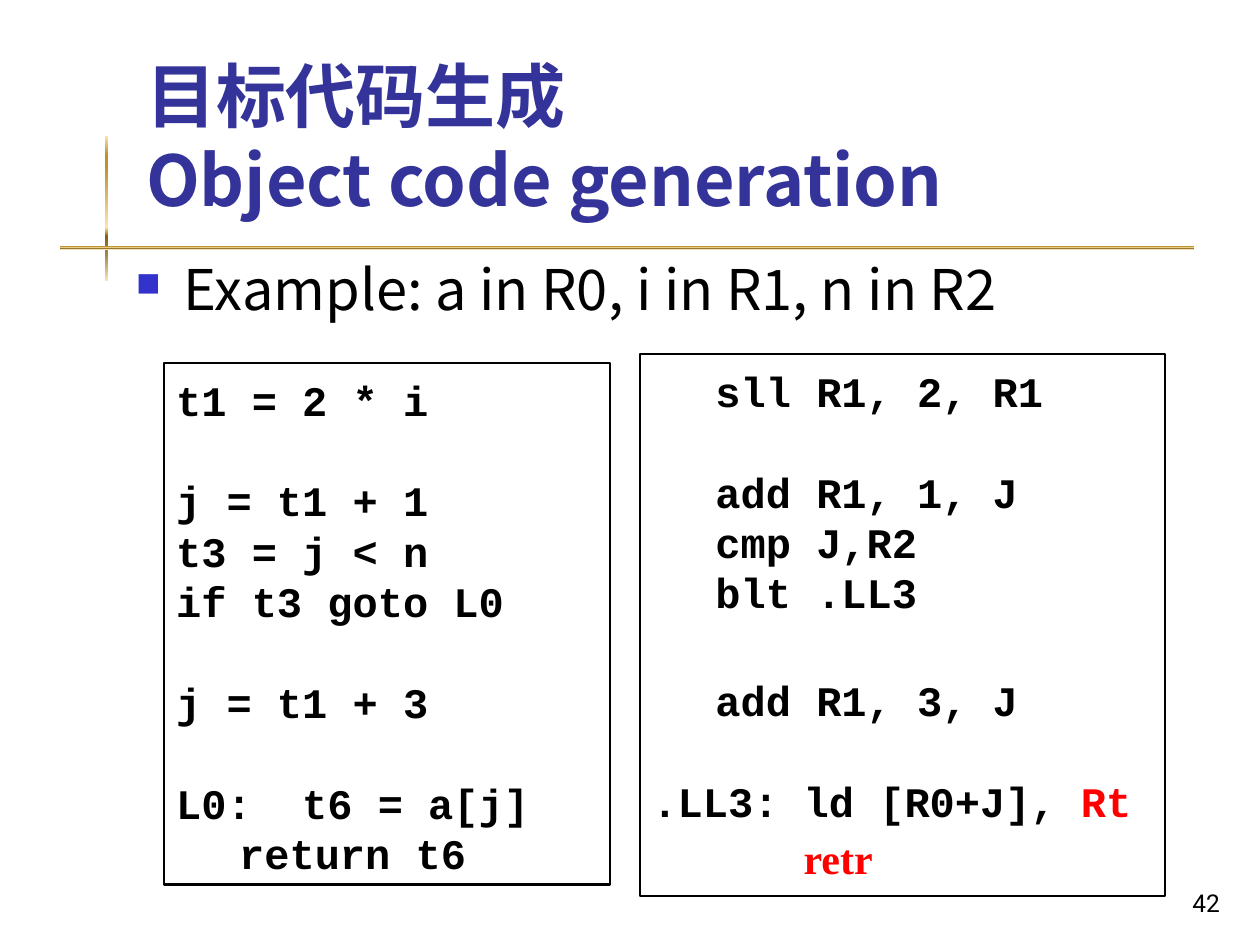
from lxml import etree
from pptx import Presentation
from pptx.dml.color import RGBColor
from pptx.enum.shapes import MSO_SHAPE
from pptx.enum.text import MSO_ANCHOR, PP_ALIGN
from pptx.oxml import parse_xml
from pptx.oxml.ns import nsdecls, qn
from pptx.util import Inches, Pt

RECTANGLE = MSO_SHAPE.RECTANGLE
TOP, BOTTOM = MSO_ANCHOR.TOP, MSO_ANCHOR.BOTTOM
LEFT, RIGHT = PP_ALIGN.LEFT, PP_ALIGN.RIGHT

COLORS = {"title": "333399", "bullet": "3333CC", "text": "000000", "accent": "FF0000"}
GOLD_STOPS = [(0, "FBE4AE"), (13, "BD922A"), (21, "BD922A"), (63, "FBE4AE"),
              (67, "BD922A"), (69, "835E17"), (82, "A28949"), (100, "FAE3B7")]

SANS = "Noto Sans CJK JP"
TITLE = {"name": SANS, "size": Pt(40), "bold": True, "color": "title"}
BODY = {"name": SANS, "size": Pt(32), "bold": False, "color": "text"}
CODE = {"name": "Courier New", "size": Pt(24), "bold": True, "color": "text"}
RED_CODE = {**CODE, "color": "accent"}
RED_SERIF = {**RED_CODE, "name": "Times New Roman"}
NUMBER = {"name": "Roboto", "size": Pt(14), "bold": False, "color": "text"}

THREE_ADDRESS_CODE = [[(
    "t1 = 2 * i\n\t\nj = t1 + 1\nt3 = j < n\nif t3 goto L0\n\t\n"
    "j = t1 + 3\n\t\nL0: \tt6 = a[j]\n\treturn t6", CODE)]]
ASSEMBLY_CODE = [
    [("\tsll R1, 2, R1\n\t\n\tadd R1, 1, J\n\tcmp J,R2\n\tblt .LL3\n\t", CODE)],
    [("\tadd R1, 3, J\n\t\n.LL3: ld [R0+J], ", CODE), ("Rt", RED_CODE)],
    [("      ", RED_CODE), ("retr", RED_SERIF)],
]


def place(shape, left, top, width, height):
    shape.left, shape.top = Inches(left), Inches(top)
    shape.width, shape.height = Inches(width), Inches(height)


def write(paragraph, text, style):
    """Add text in one style, with a line break at each newline."""
    for index, line in enumerate(text.split("\n")):
        if index:
            paragraph.add_line_break()
        run = paragraph.add_run()
        run.text = line
        for attribute, value in style.items():
            if attribute == "color":
                run.font.color.rgb = RGBColor.from_string(COLORS[value])
            else:
                setattr(run.font, attribute, value)
        east_asian = etree.SubElement(run.font._element, qn("a:ea"))
        east_asian.set("typeface", style["name"])


def format_frame(frame, **settings):
    frame.word_wrap = True
    for attribute, value in settings.items():
        setattr(frame, attribute, value)


def add_gold_bar(slide, left, top, width, height):
    bar = slide.shapes.add_shape(RECTANGLE, *map(Inches, (left, top, width, height)))
    bar.shadow.inherit = False
    bar.line.fill.background()
    bar.fill.gradient()
    gradient = bar._element.spPr.find(qn("a:gradFill"))
    stops = "".join(f'<a:gs pos="{position * 1000}"><a:srgbClr val="{color}"/></a:gs>'
                    for position, color in GOLD_STOPS)
    gradient.replace(gradient.find(qn("a:gsLst")),
                     parse_xml(f'<a:gsLst {nsdecls("a")}>{stops}</a:gsLst>'))
    gradient.find(qn("a:lin")).set("ang", "5400000")


def set_title(slide, text):
    title = slide.shapes.title
    place(title, 1.06, 0.44, 8.35, 1.31)
    format_frame(title.text_frame, vertical_anchor=BOTTOM, margin_bottom=0)
    paragraph = title.text_frame.paragraphs[0]
    paragraph.alignment = LEFT
    paragraph.line_spacing = Pt(48)
    write(paragraph, text, TITLE)


def add_bullet_text(slide, text):
    box = slide.shapes.add_textbox(*map(Inches, (0.98, 1.94, 8.5, 0.75)))
    format_frame(box.text_frame, margin_top=Inches(0.08))
    paragraph = box.text_frame.paragraphs[0]
    properties = paragraph._p.get_or_add_pPr()
    properties.set("marL", str(Inches(0.38)))
    properties.set("indent", str(-Inches(0.38)))
    for bullet_part in (
            f'<a:buClr {nsdecls("a")}><a:srgbClr val="{COLORS["bullet"]}"/></a:buClr>',
            f'<a:buSzPct {nsdecls("a")} val="60000"/>',
            f'<a:buChar {nsdecls("a")} char="■"/>'):
        properties.append(parse_xml(bullet_part))
    paragraph.line_spacing = Pt(38.4)
    write(paragraph, text, BODY)


def add_code_box(slide, left, top, width, height, paragraphs):
    box = slide.shapes.add_shape(RECTANGLE, *map(Inches, (left, top, width, height)))
    box.shadow.inherit = False
    box.fill.background()
    box.line.color.rgb = RGBColor.from_string(COLORS["text"])
    box.line.width = Pt(1.25)
    frame = box.text_frame
    format_frame(frame, vertical_anchor=TOP, margin_top=Inches(0.09))
    for index, pieces in enumerate(paragraphs):
        paragraph = frame.add_paragraph() if index else frame.paragraphs[0]
        paragraph.alignment = LEFT
        paragraph.line_spacing = Pt(28.8)
        if index:
            paragraph.space_before = Pt(4)
        for text, style in pieces:
            write(paragraph, text, style)


def add_page_number(slide, number):
    box = slide.shapes.add_textbox(*map(Inches, (7.7, 6.83, 2.08, 0.5)))
    format_frame(box.text_frame, vertical_anchor=BOTTOM)
    paragraph = box.text_frame.paragraphs[0]
    paragraph.alignment = RIGHT
    write(paragraph, number, NUMBER)


def main():
    presentation = Presentation()
    presentation.slide_width, presentation.slide_height = Inches(10), Inches(7.5)
    slide = presentation.slides.add_slide(presentation.slide_layouts[5])
    add_gold_bar(slide, 0.83, 1.08, 0.03, 1.15)
    add_gold_bar(slide, 0.48, 1.95, 9, 0.03)
    set_title(slide, "目标代码生成\nObject code generation")
    add_bullet_text(slide, "Example: a in R0, i in R1, n in R2")
    add_code_box(slide, 1.3, 2.88, 3.54, 4.14, THREE_ADDRESS_CODE)
    add_code_box(slide, 5.08, 2.81, 4.17, 4.3, ASSEMBLY_CODE)
    add_page_number(slide, "42")
    presentation.save("out.pptx")


if __name__ == "__main__":
    main()
